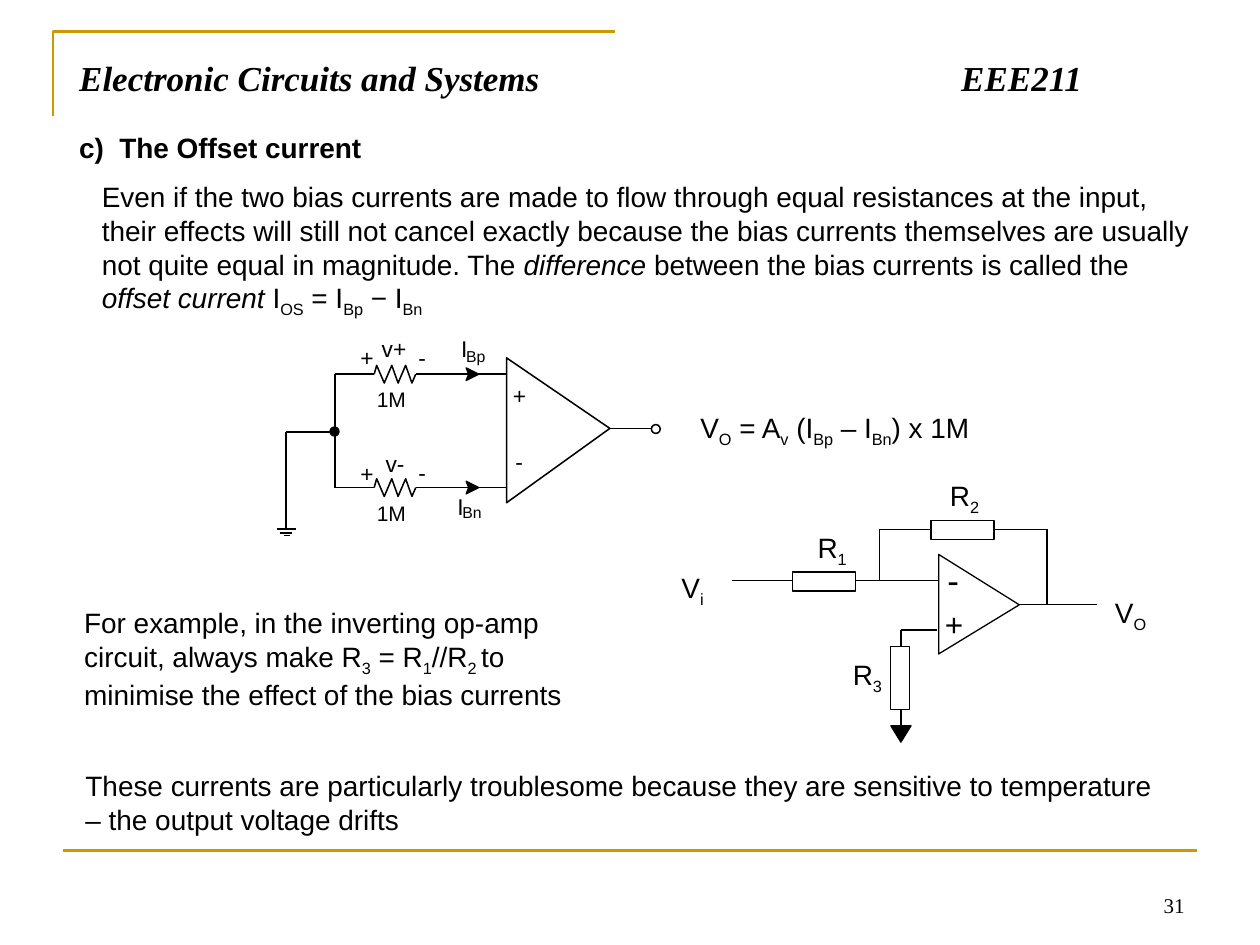
from lxml import etree
from pptx import Presentation
from pptx.dml.color import RGBColor
from pptx.enum.shapes import MSO_CONNECTOR, MSO_SHAPE
from pptx.enum.text import MSO_ANCHOR, PP_ALIGN
from pptx.oxml.ns import qn
from pptx.util import Inches, Pt

STRAIGHT = MSO_CONNECTOR.STRAIGHT
RECTANGLE, OVAL, TRIANGLE = MSO_SHAPE.RECTANGLE, MSO_SHAPE.OVAL, MSO_SHAPE.ISOSCELES_TRIANGLE
BOTTOM, RIGHT = MSO_ANCHOR.BOTTOM, PP_ALIGN.RIGHT
BLACK, WHITE, GOLD = "000000", "FFFFFF", "CC9900"
THIN, MEDIUM, THICK = 0.75, 0.88, 1.5
color = RGBColor.from_string

deck = Presentation()
deck.slide_width, deck.slide_height = Inches(10), Inches(7.5)
page = deck.slides.add_slide(deck.slide_layouts[6])
shapes = page.shapes


def style(shape, width, line=BLACK, fill=None):
    """Set outline and fill, and switch the theme shadow off."""
    shape.line.color.rgb = color(line)
    shape.line.width = Pt(width)
    if fill:
        shape.fill.solid()
        shape.fill.fore_color.rgb = color(fill)
    elif hasattr(shape, "fill"):
        shape.fill.background()
    etree.SubElement(shape._element.spPr, qn("a:effectLst"))


def add_text(text, left, top, width, height, size=16, font="Arial", bold=False,
             italic=False, tight=False, align=None, anchor=None):
    """Add a text box; *stars* mark italics and _underscores_ mark subscripts."""
    box = shapes.add_textbox(Inches(left), Inches(top), Inches(width), Inches(height))
    frame = box.text_frame
    frame.word_wrap = not tight
    if tight:
        frame.margin_left = frame.margin_right = frame.margin_top = frame.margin_bottom = 0
    if anchor is not None:
        frame.vertical_anchor = anchor
    para = frame.paragraphs[0]
    para.alignment = align
    for i, chunk in enumerate(text.split("*")):
        for j, piece in enumerate(chunk.split("_")):
            if not piece:
                continue
            span = para.add_run()
            span.text = piece
            span.font.name, span.font.size = font, Pt(size)
            span.font.bold, span.font.italic = bold, italic or i % 2 == 1
            span.font.color.rgb = color(BLACK)
            if j % 2:
                span.font._element.set("baseline", "-25000")
    return box


# Lines: wires of both circuits and the footer rule
inverting_wires = [
    (7.45, 4.61, 5.81, 4.61), (7.44, 5, 7.15, 5), (8.09, 4.8, 8.71, 4.8),
    (7.15, 5, 7.15, 5.83), (8.31, 4.2, 6.98, 4.2), (6.98, 4.2, 6.98, 4.61),
    (8.31, 4.2, 8.31, 4.8),
]
bias_wires = [
    (2.66, 2.97, 2.66, 3.87), (2.66, 3.43, 2.27, 3.43),
    (4.84, 3.4, 5.2, 3.4), (2.27, 3.43, 2.27, 3.87),
]
for y in (2.97, 3.87):
    bias_wires += [(2.66, y, 2.97, y), (3.3, y, 4.02, y)]
lines = [(wire, THIN, BLACK) for wire in inverting_wires]
lines += [(wire, MEDIUM, BLACK) for wire in bias_wires]
lines.append(((0.5, 6.75, 9.5, 6.75), THICK, GOLD))
for ends, width, line in lines:
    connector = shapes.add_connector(STRAIGHT, *[Inches(value) for value in ends])
    style(connector, width, line)

# Outlines: each is a list of strokes, then closed or not, width, line and fill
corner = [[(0.42, 0.92), (0.42, 0.25), (4.88, 0.25)]]
ground = [[(2.25, 4.25), (2.3, 4.25)], [(2.22, 4.23), (2.32, 4.23)],
          [(2.2, 4.2), (2.35, 4.2)], [(2.27, 3.87), (2.27, 4.2)]]
outlines = [
    (corner, False, THICK, GOLD, None),
    (ground, False, MEDIUM, BLACK, None),
    ([[(7.45, 4.4), (8.09, 4.8), (7.45, 5.19)]], True, THIN, BLACK, None),
    ([[(4.02, 2.84), (4.84, 3.4), (4.02, 3.99)]], True, MEDIUM, BLACK, None),
]
for y in (2.97, 3.87):
    peaks = [(x, y + 0.07 * (1 if i % 2 else -1))
             for i, x in enumerate((2.99, 3.05, 3.11, 3.16, 3.22, 3.27))]
    outlines.append(([[(2.97, y), *peaks, (3.3, y)]], False, MEDIUM, BLACK, None))
    arrow = [(3.8, y), (3.7, y + 0.05), (3.72, y), (3.7, y - 0.05)]
    outlines.append(([arrow], True, 0, BLACK, BLACK))
for strokes, closed, width, line, fill in outlines:
    builder = None
    for stroke in strokes:
        points = [(Inches(x), Inches(y)) for x, y in stroke]
        if builder is None:
            builder = shapes.build_freeform(*points[0])
        else:
            builder.move_to(*points[0])
        builder.add_line_segments(points[1:], close=closed)
    style(builder.convert_to_shape(), width, line, fill)

# Resistors, ground arrow, junction and output terminal
for kind, left, top, width, height, weight, fill in [
    (RECTANGLE, 6.29, 4.54, 0.5, 0.15, THIN, WHITE),
    (RECTANGLE, 7.39, 4.13, 0.5, 0.15, THIN, WHITE),
    (RECTANGLE, 7.07, 5.13, 0.15, 0.5, THIN, WHITE),
    (TRIANGLE, 7.07, 5.76, 0.16, 0.13, THIN, BLACK),
    (OVAL, 2.62, 3.39, 0.07, 0.07, MEDIUM, BLACK),
    (OVAL, 5.17, 3.37, 0.07, 0.07, MEDIUM, WHITE),
]:
    part = shapes.add_shape(kind, Inches(left), Inches(top), Inches(width), Inches(height))
    style(part, weight, fill=fill)
    if kind == TRIANGLE:
        part.rotation = 180

# Labels of the inverting circuit
add_text("-", 7.42, 4.38, 0.34, 0.43, size=20)
add_text("+", 7.4, 4.75, 0.46, 0.4, size=18)
for label, left, top in [("V_O_", 8.75, 4.68), ("V_i_", 5.31, 4.48), ("R_1_", 6.39, 4.16),
                         ("R_2_", 7.44, 3.75), ("R_3_", 6.67, 5.17)]:
    add_text(label, left, top, 0.57, 0.37)

# Labels of the bias current circuit, in boxes a little wider than their text
for label, left, top, width, size in [
    ("+", 4.07, 3.03, 0.15, 13), ("-", 4.09, 3.55, 0.1, 13),
    ("I", 3.66, 2.66, 0.1, 13), ("Bp", 3.7, 2.75, 0.25, 9),
    ("I", 3.63, 3.91, 0.1, 13), ("Bn", 3.67, 3.99, 0.25, 9),
    ("+", 2.86, 2.73, 0.15, 13), ("-", 3.32, 2.73, 0.1, 13),
    ("+", 2.86, 3.65, 0.15, 13), ("-", 3.32, 3.64, 0.1, 13),
    ("v+", 3.03, 2.66, 0.3, 13), ("v-", 3.06, 3.57, 0.25, 13),
    ("1M", 2.99, 3.07, 0.35, 12), ("1M", 2.99, 3.97, 0.35, 12),
]:
    add_text(label, left, top, width, size / 60, size=size, tight=True)

# Title, body text and page number
title = add_text("Electronic Circuits and Systems\tEEE211", 0.53, 0.4, 8.92, 0.61,
                 size=20, font="Times New Roman", bold=True, italic=True)
properties = title.text_frame.paragraphs[0]._p.get_or_add_pPr()
stops = etree.SubElement(properties, qn("a:tabLst"))
etree.SubElement(stops, qn("a:tab"), pos=str(Inches(7)), algn="l")

add_text("c)  The Offset current", 0.53, 0.99, 2.8, 0.37, bold=True)
add_text("Even if the two bias currents are made to flow through equal resistances at the input, "
         "their effects will still not cancel exactly because the bias currents themselves are "
         "usually not quite equal in magnitude. The *difference* between the bias currents is "
         "called the *offset current* I_OS_ = I_Bp_ − I_Bn_", 0.71, 1.38, 8.94, 1.17)
add_text("V_O_ = A_v_ (I_Bp_ – I_Bn_) x 1M", 5.46, 3.21, 2.86, 0.37)
add_text("For example, in the inverting op-amp circuit, always make R_3_ = R_1_//R_2 _to "
         "minimise the effect of the bias currents", 0.57, 4.76, 4.3, 0.9)
add_text("These currents are particularly troublesome because they are sensitive to temperature "
         "– the output voltage drifts", 0.58, 6.05, 8.78, 0.64)
add_text("31", 7.17, 6.83, 2.33, 0.5, size=12, font="Times New Roman", align=RIGHT, anchor=BOTTOM)

deck.save("out.pptx")
